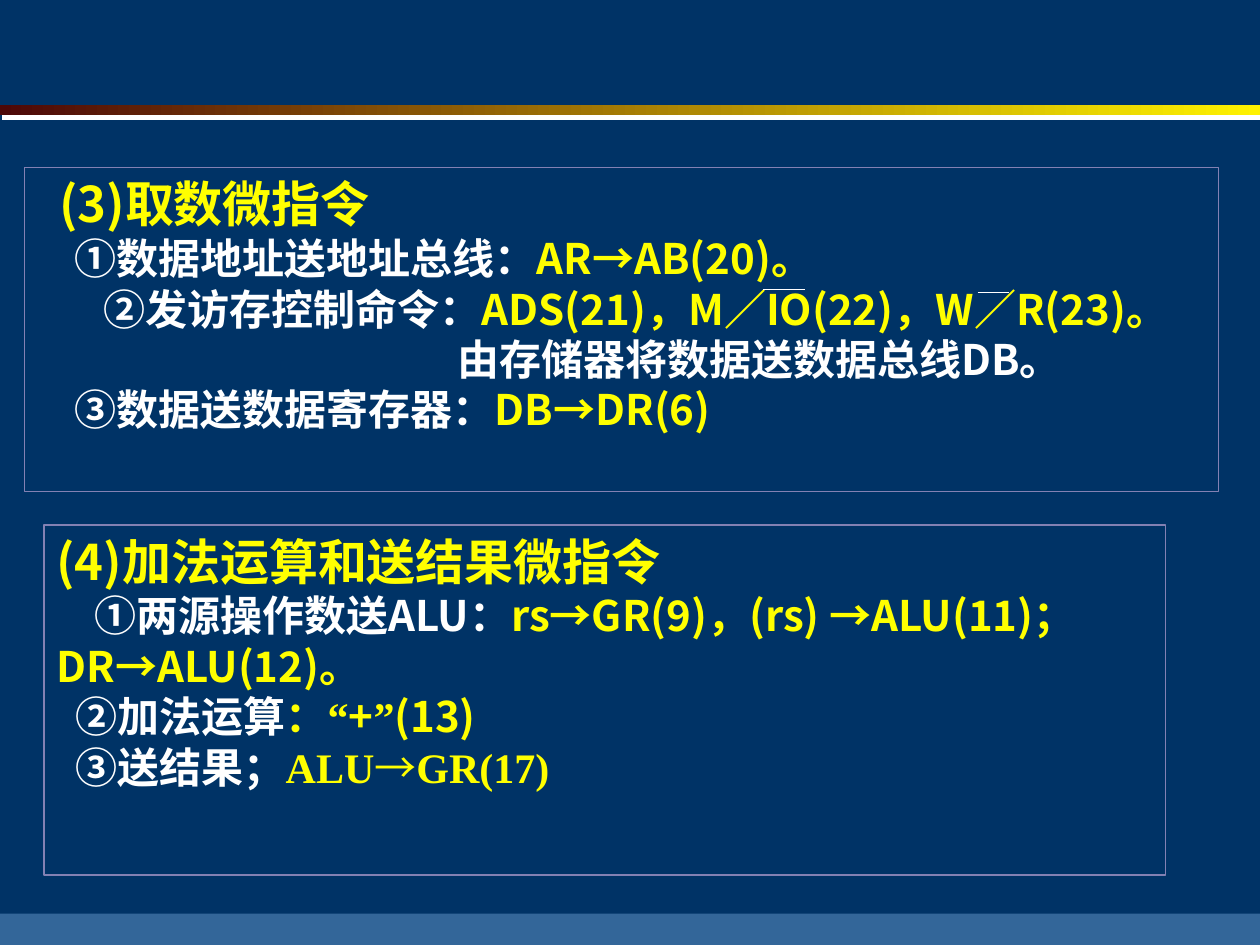
from dataclasses import dataclass
from typing import Any

from lxml import etree
from pptx import Presentation, util as u
from pptx.dml.color import RGBColor
from pptx.enum import shapes, text
from pptx.oxml.ns import qn

SANS = "Noto Sans CJK SC"
SERIF = "Times New Roman"
WHITE = "FFFFFF"
YELLOW = "FFFF00"


def colour(code):
    return RGBColor.from_string(code)


@dataclass
class Board:
    slide: Any
    border: str = "8381B3"
    line_width: float = 0.75
    body_size: int = 24

    def background(self, code):
        fill = self.slide.background.fill
        fill.solid()
        fill.fore_color.rgb = colour(code)

    def bar(self, left, top, width, height):
        bar = self.slide.shapes.add_shape(
            shapes.MSO_SHAPE.RECTANGLE, u.Pt(left), u.Pt(top), u.Pt(width), u.Pt(height))
        bar.line.fill.background()
        bar.shadow.inherit = False
        return bar

    def plain_bar(self, *frame, code):
        fill = self.bar(*frame).fill
        fill.solid()
        fill.fore_color.rgb = colour(code)

    def gradient_bar(self, *frame, codes, shadow):
        bar = self.bar(*frame)
        bar.fill.gradient()
        bar.fill.gradient_angle = 0
        for stop, code in zip(bar.fill.gradient_stops, codes):
            stop.color.rgb = colour(code)
        effects = bar._element.spPr.find(qn("a:effectLst"))
        cast = etree.SubElement(effects, qn("a:outerShdw"), dist=str(u.Pt(3.2)),
                                dir=str(72 * 60000), algn="ctr", rotWithShape="0")
        etree.SubElement(cast, qn("a:srgbClr"), val=shadow)

    def panel(self, left, top, width, height, lines, align):
        panel = self.slide.shapes.add_textbox(
            u.Pt(left), u.Pt(top), u.Pt(width), u.Pt(height))
        panel.line.color.rgb = colour(self.border)
        panel.line.width = u.Pt(self.line_width)
        frame = panel.text_frame
        frame.word_wrap = True
        frame.auto_size = text.MSO_AUTO_SIZE.NONE
        frame.vertical_anchor = text.MSO_ANCHOR.TOP
        for number, (indent, runs) in enumerate(lines):
            paragraph = frame.add_paragraph() if number else frame.paragraphs[0]
            paragraph.alignment = align
            paragraph._p.get_or_add_pPr().set("indent", str(u.Pt(indent)))
            for run in runs:
                self.run(paragraph, *run)

    def run(self, paragraph, words, code, size=None, face=SANS, bold=True):
        run = paragraph.add_run()
        run.text = words
        run.font.size = u.Pt(size or self.body_size)
        run.font.bold = bold
        run.font.color.rgb = colour(code)
        run.font.name = face
        etree.SubElement(run.font._element, qn("a:ea"), typeface=face)

    def overline(self, left, right, height):
        overline = self.slide.shapes.add_connector(
            shapes.MSO_CONNECTOR.STRAIGHT,
            u.Pt(left), u.Pt(height), u.Pt(right), u.Pt(height))
        overline.line.color.rgb = colour(WHITE)
        overline.line.width = u.Pt(self.line_width)
        etree.SubElement(overline._element.spPr, qn("a:effectLst"))


FETCH = [
    (12.5, [("(3)取数微指令", YELLOW, 28)]),
    (21.5, [("①数据地址送地址总线：", WHITE), ("AR→AB(20)。", YELLOW)]),
    (38, [("②发访存控制命令：", WHITE), ("ADS(21)，M／IO(22)，W／R(23)。", YELLOW)]),
    (240, [("由存储器将数据送数据总线DB。", WHITE)]),
    (21.5, [("③数据送数据寄存器：", WHITE), ("DB→DR(6)", YELLOW)]),
]

ADDITION = [
    (0, [("(4)加法运算和送结果微指令", YELLOW, 28)]),
    (21.5, [("①两源操作数送ALU：", WHITE),
            ("rs→GR(9)，(rs) →ALU(11)；DR→ALU(12)。", YELLOW)]),
    (11, [("②加法运算", WHITE), ("：", YELLOW), ("“", YELLOW, None, SERIF),
          ("+", YELLOW), ("”", YELLOW, None, SERIF), ("(13)", YELLOW)]),
    (11, [("③送结果；", WHITE), ("ALU", YELLOW, None, SERIF),
          ("→", YELLOW, None, SANS, False), ("GR(17)", YELLOW, None, SERIF)]),
]


def main():
    deck = Presentation()
    deck.slide_width, deck.slide_height = u.Pt(720), u.Pt(540)
    board = Board(deck.slides.add_slide(deck.slide_layouts[6]))
    board.background("003366")
    board.plain_bar(0, 522, 720, 18, code="336699")
    board.gradient_bar(0, 60, 720, 5.76, codes=("4D0808", "FFF200"), shadow=WHITE)
    board.panel(14.2, 95.8, 682, 185, FETCH, text.PP_ALIGN.JUSTIFY)
    board.overline(436.3, 460, 165.6)
    board.overline(558.7, 576.7, 167)
    board.panel(25.2, 300, 641, 200, ADDITION, text.PP_ALIGN.LEFT)
    deck.save("out.pptx")


if __name__ == "__main__":
    main()
